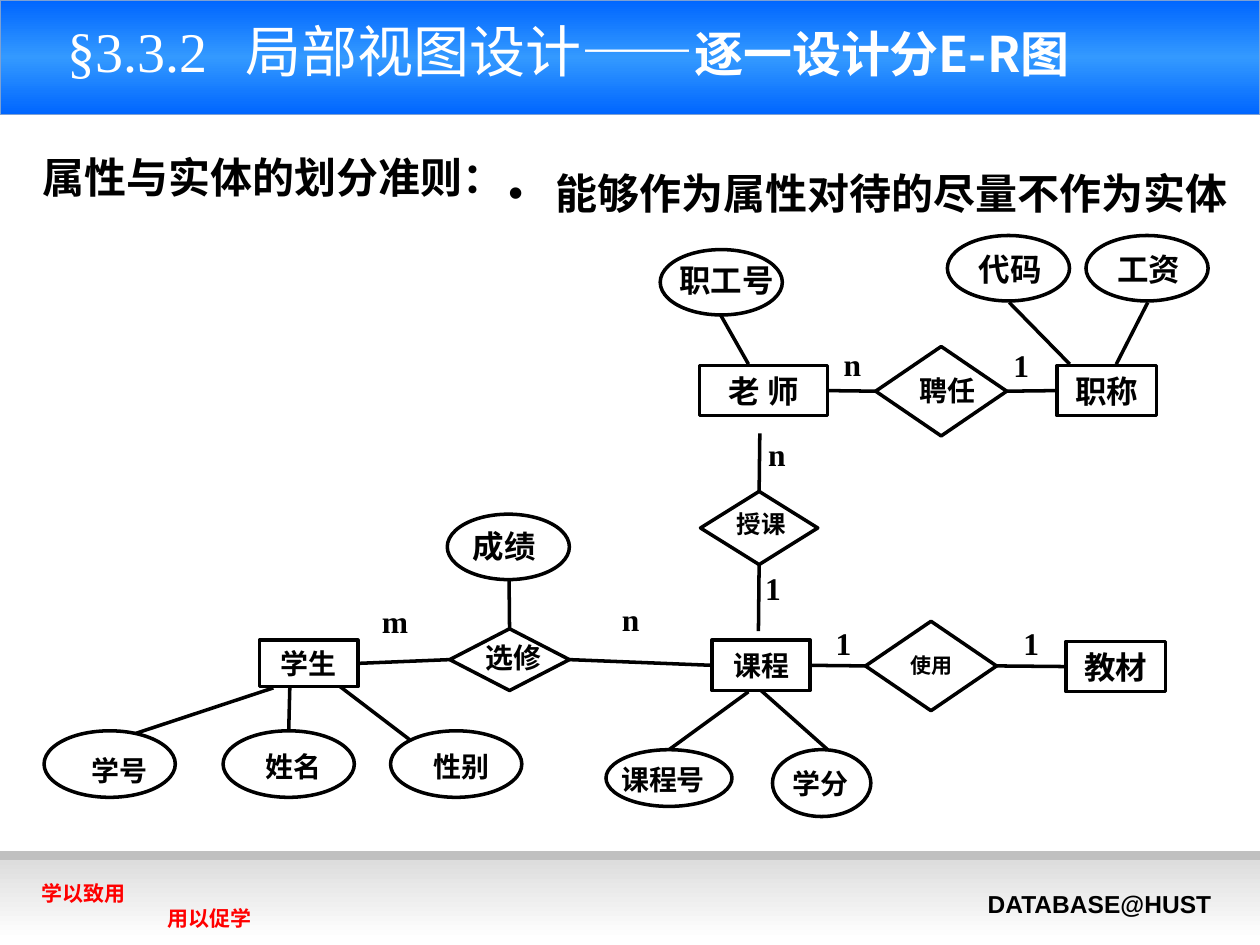
"""Builds the slide on designing partial E-R diagrams, one view at a time."""
from dataclasses import dataclass

import pptx
import pptx.dml.color
import pptx.enum.shapes
import pptx.enum.text
import pptx.oxml.ns
import pptx.util
from lxml import etree

Pt = pptx.util.Pt
Align = pptx.enum.text.PP_ALIGN
Anchor = pptx.enum.text.MSO_ANCHOR
Shape = pptx.enum.shapes.MSO_SHAPE
qn = pptx.oxml.ns.qn

TOP, LEFT, BOTTOM, RIGHT = 0, 1, 2, 3


@dataclass(frozen=True)
class Theme:
    """Colours, fonts and sizes of the slide."""
    ink: str = "000000"
    white: str = "FFFFFF"
    red: str = "FF0000"
    grey: str = "C0C0C0"
    header_line: str = "7DA0D3"
    header_stops: tuple = ((0, "0066FF"), (50, "3399FF"), (100, "0066FF"))
    footer_stops: tuple = ((0, "DDDDDD"), (100, "FFFFFF"))
    sans: str = "Arial"
    serif: str = "Times New Roman"
    chinese: str = "Noto Sans CJK SC"
    title: int = 32
    subtitle: int = 28
    heading: int = 24
    label: int = 18
    small_label: int = 16
    minor_label: int = 14
    note: int = 12
    stroke: float = 2


THEME = Theme()

ENTITIES = [
    ("学生", 148.3, 365.8, 56.2, 26.6, THEME.small_label),
    ("课程", 406.8, 365.8, 56.2, 28.8, THEME.small_label),
    ("教材", 609.1, 366.5, 56.9, 28.8, THEME.label),
    ("老 师", 399.6, 208.8, 73.4, 28.8, THEME.label),
    ("职称", 604.1, 208.8, 56.9, 28.8, THEME.label),
]
RELATIONS = [
    ("选修", (257, 359.3, 68.4, 35.3), (293.2, 375.5), THEME.small_label),
    ("使用", (494.6, 355, 74.9, 51.1), (532.4, 380.2), THEME.note),
    ("授课", (400.3, 280.8, 67, 41.8), (434.9, 299.5), THEME.minor_label),
    ("聘任", (500.4, 198, 74.9, 51.1), (541.5, 222.8), THEME.small_label),
]
ATTRIBUTES = [
    ("学号", (25.2, 417.6, 75, 38), (68.4, 440.3), THEME.small_label),
    ("姓名", (127.5, 417.6, 75, 38), (167.8, 438), THEME.small_label),
    ("性别", (223.2, 417.6, 75, 38), (263.5, 438), THEME.small_label),
    ("课程号", (346.3, 428.4, 72, 32.4), (378.9, 445.3), THEME.small_label),
    ("学分", (441.4, 428.4, 56.2, 38.2), (469, 447.5), THEME.small_label),
    ("成绩", (255.6, 293.8, 69.8, 37.4), (288.3, 311.8), THEME.label),
    ("职工号", (377.3, 142.6, 69.8, 37.4), (415, 159.8), THEME.label),
    ("代码", (541.4, 134.6, 69.8, 37.4), (577.4, 153.4), THEME.label),
    ("工资", (620.6, 134.6, 69.8, 37.4), (656.5, 153.4), THEME.label),
]
MULTIPLICITIES = [
    ("m", 225.7, 355), ("n", 360.4, 353.5), ("n", 443.9, 259.2),
    ("1", 482, 367.2), ("1", 589.3, 367.2), ("1", 441.7, 336.2),
    ("1", 583.6, 208.8), ("n", 487.1, 208.1),
]
LINKS = [
    ((77.8, 419), (156.2, 393.1)),
    (("姓名", TOP), (165.6, 393.1)),
    ((234, 422.6), (194.4, 392.4)),
    (("课程号", TOP), (427.7, 395.3)),
    ((473, 428.4), ("课程", BOTTOM)),
    (("选修", LEFT), ("学生", RIGHT)),
    (("课程", LEFT), ("选修", RIGHT)),
    ((290.9, 331.2), ("选修", TOP)),
    (("使用", LEFT), ("课程", RIGHT)),
    (("教材", LEFT), ("使用", RIGHT)),
    (("授课", BOTTOM), (433.4, 360.7)),
    ((434.2, 247.7), ("授课", TOP)),
    ((411.8, 180), (427.7, 208.1)),
    (("老 师", RIGHT), ("聘任", LEFT)),
    (("聘任", RIGHT), ("职称", LEFT)),
    ((576.7, 172.8), (611.3, 208.1)),
    ((655.9, 172.8), (637.9, 208.1)),
]


def rgb(value):
    """Turn a hex string into a colour."""
    return pptx.dml.color.RGBColor.from_string(value)


def set_font(font, size, name, color=THEME.ink, bold=True):
    """Set size, colour and the Latin and East Asian faces."""
    font.size, font.bold, font.name = Pt(size), bold, name
    font.color.rgb = rgb(color)
    etree.SubElement(font._rPr, qn("a:ea"), typeface=THEME.chinese)


def write(box, lines, size, name, color=THEME.ink, align=Align.CENTER, anchor=Anchor.MIDDLE):
    """Fill a box with uniformly formatted paragraphs and return them."""
    frame = box.text_frame
    frame.word_wrap, frame.vertical_anchor = True, anchor
    frame.text = "\n".join(lines)
    for para in frame.paragraphs:
        para.alignment = align
        set_font(para.font, size, name, color)
    return frame.paragraphs


def add_text(page, area, lines, size, name, **style):
    """Add a text box and return it."""
    box = page.shapes.add_textbox(*map(Pt, area))
    write(box, lines, size, name, **style)
    return box


def add_label(page, text, center, size):
    """Add a diagram label around its centre."""
    width, height = 28 * len(text), 1.2 * size + 7.2
    area = (center[0] - width / 2, center[1] - height / 2, width, height)
    box = add_text(page, area, [text], size, THEME.serif)
    box.text_frame.margin_left = box.text_frame.margin_right = 0


def add_outline(page, kind, area):
    """Add an unfilled black diagram shape."""
    box = page.shapes.add_shape(kind, *map(Pt, area))
    box.shadow.inherit = False
    box.fill.background()
    box.line.color.rgb, box.line.width = rgb(THEME.ink), Pt(THEME.stroke)
    return box


def add_band(page, top, height, stops, line=None):
    """Add a full-width band shaded from top to bottom."""
    box = page.shapes.add_shape(Shape.RECTANGLE, 0, Pt(top), Pt(720), Pt(height))
    box.shadow.inherit = False
    box.fill.gradient()
    box.fill.gradient_angle = 270
    stop_list = box._element.spPr.find(".//" + qn("a:gsLst"))
    for stop in list(stop_list):
        stop_list.remove(stop)
    for position, color in stops:
        stop = etree.SubElement(stop_list, qn("a:gs"), pos=str(position * 1000))
        etree.SubElement(stop, qn("a:srgbClr"), val=color)
    if line:
        box.line.color.rgb, box.line.width = rgb(line), Pt(0.75)
    else:
        box.line.fill.background()
    return box


def add_link(page, nodes, start, end):
    """Add a line whose ends are points or named sides of nodes."""
    places = [(0, 0) if isinstance(place[0], str) else place for place in (start, end)]
    line = page.shapes.add_connector(
        pptx.enum.shapes.MSO_CONNECTOR.STRAIGHT, *(Pt(value) for place in places for value in place))
    for place, connect in ((start, line.begin_connect), (end, line.end_connect)):
        if isinstance(place[0], str):
            connect(nodes[place[0]], place[1])
    line.line.color.rgb, line.line.width = rgb(THEME.ink), Pt(THEME.stroke)
    etree.SubElement(line._element.spPr, qn("a:effectLst"))


def place_holder(page, box, area):
    """Bring a placeholder to the front and move it."""
    page.shapes._spTree.append(box._element)
    box.left, box.top, box.width, box.height = map(Pt, area)
    box.text_frame.auto_size = pptx.enum.text.MSO_AUTO_SIZE.NONE
    box.text_frame.word_wrap = True


def add_title(page):
    """Fill the title with its differently formatted spans."""
    box = page.shapes.title
    place_holder(page, box, (0, 9.4, 649.4, 56.9))
    box.text_frame.vertical_anchor, box.text_frame.margin_top = Anchor.TOP, 0
    para = box.text_frame.paragraphs[0]
    para.alignment = Align.CENTER
    for text, size, name, bold, spacing in (
            ("§3.3.2", THEME.title, THEME.serif, False, 0),
            (" ", THEME.title, THEME.serif, False, 14),
            ("局部视图设计——", THEME.title, THEME.sans, False, 0),
            ("逐一设计分E-R图", THEME.subtitle, THEME.chinese, True, 0)):
        span = para.add_run()
        span.text = text
        set_font(span.font, size, name, THEME.white, bold)
        if spacing:
            span.font._rPr.set("spc", str(spacing * 100))


def add_rule(page):
    """Fill the body with the bulleted rule."""
    box = page.placeholders[1]
    place_holder(page, box, (275, 77, 442.1, 51.1))
    para = box.text_frame.paragraphs[0]
    para.space_before = Pt(0)
    properties = para._p.get_or_add_pPr()
    properties.set("marL", str(Pt(27)))
    properties.set("indent", str(-Pt(27)))
    etree.SubElement(properties, qn("a:buFont"), typeface=THEME.sans)
    etree.SubElement(properties, qn("a:buChar"), char="➢")
    write(box, ["能够作为属性对待的尽量不作为实体"], THEME.heading, THEME.chinese, anchor=Anchor.BOTTOM)


def add_frame(page):
    """Add the header and footer bands with the footer wording."""
    add_band(page, 0, 65.5, THEME.header_stops, THEME.header_line)
    add_band(page, 486.4, 20.9, ((0, THEME.grey), (100, THEME.grey)))
    add_band(page, 491.4, 45.4, THEME.footer_stops)
    motto = add_text(page, (16.6, 499.7, 144, 36), ["学以致用", "用以促学"], THEME.note,
                     THEME.sans, color=THEME.red, align=Align.LEFT)
    for para in motto.text_frame.paragraphs:
        para.line_spacing = Pt(14.4)
    motto.text_frame.paragraphs[1]._p.get_or_add_pPr().set("marL", str(Pt(72)))
    add_text(page, (557.3, 504, 150.5, 24.5), ["DATABASE@HUST"], THEME.minor_label,
             THEME.sans, align=Align.LEFT)


def add_diagram(page):
    """Draw entities, relations, attributes and the links between them."""
    nodes = {}
    for text, left, top, width, height, size in ENTITIES:
        nodes[text] = add_outline(page, Shape.RECTANGLE, (left, top, width, height))
        write(nodes[text], [text], size, THEME.serif)
    for kind, group in ((Shape.DIAMOND, RELATIONS), (Shape.OVAL, ATTRIBUTES)):
        for text, area, center, size in group:
            nodes[text] = add_outline(page, kind, area)
            add_label(page, text, center, size)
    for start, end in LINKS:
        add_link(page, nodes, start, end)
    for text, *center in MULTIPLICITIES:
        add_label(page, text, center, THEME.label)


def main():
    """Build and save the deck."""
    deck = pptx.Presentation()
    deck.slide_width, deck.slide_height = Pt(720), Pt(540)
    page = deck.slides.add_slide(deck.slide_layouts[1])
    add_frame(page)
    add_rule(page)
    add_title(page)
    add_text(page, (11.5, 82.8, 289.4, 36), ["属性与实体的划分准则："], THEME.heading, THEME.chinese)
    add_diagram(page)
    deck.save("out.pptx")


if __name__ == "__main__":
    main()
